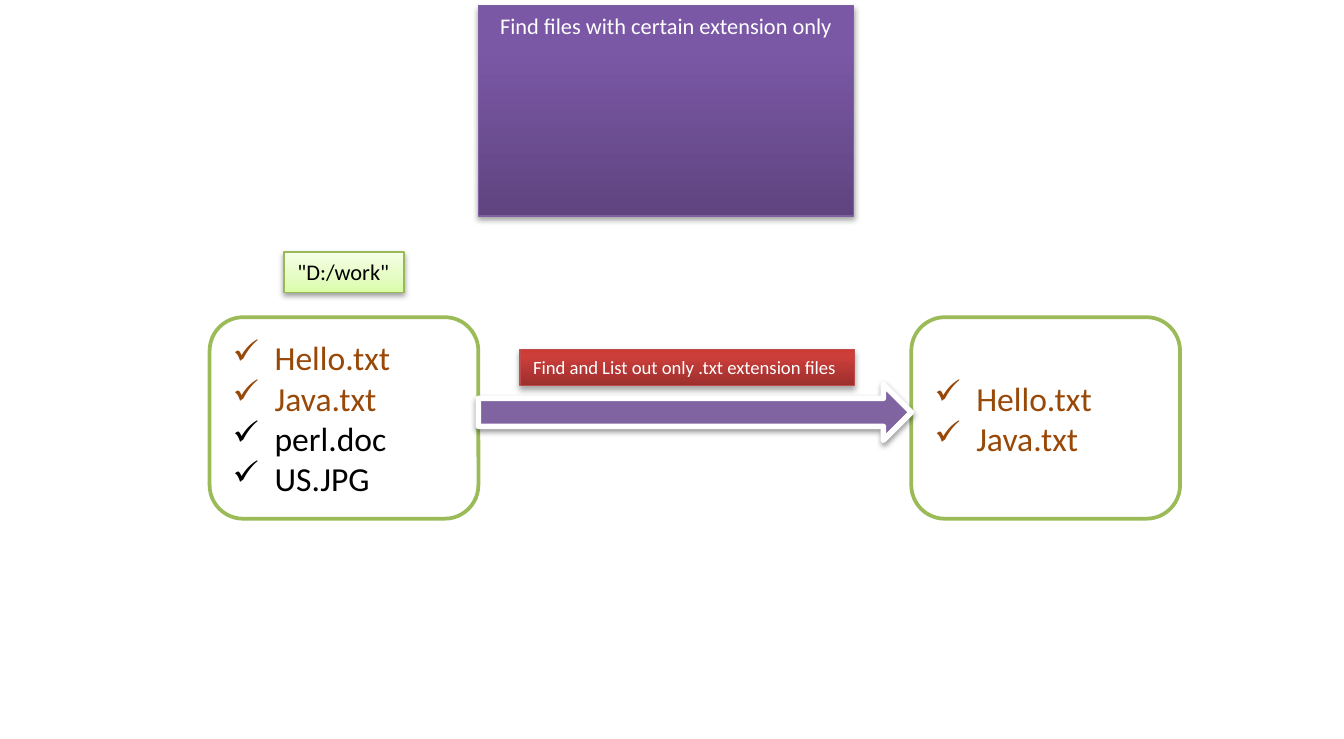
from lxml.etree import SubElement
from pptx import Presentation
from pptx.dml.color import RGBColor
from pptx.enum.shapes import MSO_SHAPE as Preset
from pptx.enum.text import MSO_ANCHOR as Anchor, MSO_AUTO_SIZE as AutoSize, PP_ALIGN as Align
from pptx.oxml.ns import qn
from pptx.util import Pt

WHITE = RGBColor(0xFF, 0xFF, 0xFF)
BLACK = RGBColor(0, 0, 0)
BROWN = RGBColor(0x98, 0x48, 0x07)
GREEN = RGBColor(0x9B, 0xBB, 0x59)
LIME = RGBColor(0x98, 0xB9, 0x55)
PURPLE = RGBColor(0x80, 0x64, 0xA2)
VIOLET = RGBColor(0x7D, 0x60, 0xA0)
RED = RGBColor(0xBF, 0x4C, 0x48)

PURPLE_STOPS = [(0, RGBColor(0x5F, 0x44, 0x80)), (80, RGBColor(0x7B, 0x58, 0xA6)),
                (100, RGBColor(0x7C, 0x57, 0xA8))]
LIME_STOPS = [(0, RGBColor(0xDA, 0xFD, 0xA7)), (35, RGBColor(0xE4, 0xFC, 0xC2)),
              (100, RGBColor(0xF5, 0xFF, 0xE7))]
RED_STOPS = [(0, RGBColor(0x9C, 0x2F, 0x2D)), (80, RGBColor(0xCB, 0x3E, 0x3A)),
             (100, RGBColor(0xCE, 0x3B, 0x37))]

HEADING = "Find files with certain extension only"
FOLDER = '"D:/work"'
ACTION = "Find and List out only .txt extension files"
MATCHES = [("Hello.txt", BROWN), ("Java.txt", BROWN)]
FILES = MATCHES + [("perl.doc", BLACK), ("US.JPG", BLACK)]

BOX_TOP, BOX_WIDTH, BOX_HEIGHT = 170, 144, 108
FILES_LEFT, MATCHES_LEFT = 112.3, 488.2
ARROW_LEFT = FILES_LEFT + BOX_WIDTH
BULLET_INDENT = 22.5


def points(*lengths):
    return [Pt(length) for length in lengths]


def outline(shape, color, width):
    shape.line.color.rgb = color
    shape.line.width = Pt(width)


def solid(shape, color):
    shape.fill.solid()
    shape.fill.fore_color.rgb = color


def gradient(shape, stops):
    shape.fill.background()
    blank = shape._element.spPr.find(qn("a:noFill"))
    grad = SubElement(shape._element.spPr, qn("a:gradFill"), rotWithShape="1")
    stop_list = SubElement(grad, qn("a:gsLst"))
    for position, color in stops:
        stop = SubElement(stop_list, qn("a:gs"), pos=str(position * 1000))
        SubElement(stop, qn("a:srgbClr"), val=str(color))
    SubElement(grad, qn("a:lin"), ang="16200000", scaled="0")
    shape._element.spPr.replace(blank, grad)


def drop_shadow(shape, opacity, distance):
    shape.shadow.inherit = False
    effects = shape._element.spPr.find(qn("a:effectLst"))
    shadow = SubElement(effects, qn("a:outerShdw"), blurRad=str(Pt(3.1)),
                        dist=str(Pt(distance)), dir="5400000", rotWithShape="0")
    color = SubElement(shadow, qn("a:srgbClr"), val=str(BLACK))
    SubElement(color, qn("a:alpha"), val=str(opacity * 1000))


def write(paragraph, text, size, color, align=Align.LEFT):
    paragraph.text = text
    paragraph.alignment = align
    for attribute, value in {"name": "Calibri", "size": Pt(size)}.items():
        setattr(paragraph.runs[0].font, attribute, value)
    paragraph.runs[0].font.color.rgb = color


def format_frame(shape, wrap, anchor, auto_size):
    settings = {"word_wrap": wrap, "vertical_anchor": anchor, "auto_size": auto_size}
    for attribute, value in settings.items():
        setattr(shape.text_frame, attribute, value)
    return shape.text_frame


def style_label(shape, text, size, color, stops, edge, opacity, distance, wrap, align):
    gradient(shape, stops)
    outline(shape, edge, 0.75)
    drop_shadow(shape, opacity, distance)
    frame = format_frame(shape, wrap, Anchor.TOP, AutoSize.SHAPE_TO_FIT_TEXT)
    write(frame.paragraphs[0], text, size, color, align)


def add_file_box(shapes, left, files):
    box = shapes.add_shape(Preset.ROUNDED_RECTANGLE,
                           *points(left, BOX_TOP, BOX_WIDTH, BOX_HEIGHT))
    box.shadow.inherit = False
    solid(box, WHITE)
    outline(box, GREEN, 2)
    frame = format_frame(box, True, Anchor.MIDDLE, AutoSize.NONE)
    for index, (file_name, color) in enumerate(files):
        item = frame.add_paragraph() if index else frame.paragraphs[0]
        properties = item._p.get_or_add_pPr()
        properties.set("marL", str(Pt(BULLET_INDENT)))
        properties.set("indent", str(-Pt(BULLET_INDENT)))
        SubElement(properties, qn("a:buChar"), char="✓")
        write(item, file_name, 18, color)


def main():
    deck = Presentation()
    deck.slide_width, deck.slide_height = points(720, 396)
    slide = deck.slides.add_slide(deck.slide_layouts[5])
    shapes = slide.shapes

    heading = shapes.title
    heading.left, heading.top, heading.width, heading.height = points(256.3, 3, 201, 21.8)
    style_label(heading, HEADING, 12, WHITE, PURPLE_STOPS, VIOLET, 35, 1.8, True, Align.CENTER)

    add_file_box(shapes, FILES_LEFT, FILES)
    folder = shapes.add_textbox(*points(152.2, 135, 64.2, 21.8))
    style_label(folder, FOLDER, 12, BLACK, LIME_STOPS, LIME, 38, 1.6, False, Align.LEFT)
    add_file_box(shapes, MATCHES_LEFT, MATCHES)

    arrow = shapes.add_shape(Preset.RIGHT_ARROW,
                             *points(ARROW_LEFT, 206, MATCHES_LEFT - ARROW_LEFT, 30))
    solid(arrow, PURPLE)
    outline(arrow, WHITE, 3)
    drop_shadow(arrow, 38, 1.6)

    action = shapes.add_textbox(*points(278.5, 187.3, 179.2, 19.4))
    style_label(action, ACTION, 10, WHITE, RED_STOPS, RED, 35, 1.8, False, Align.LEFT)

    deck.save("out.pptx")


if __name__ == "__main__":
    main()
